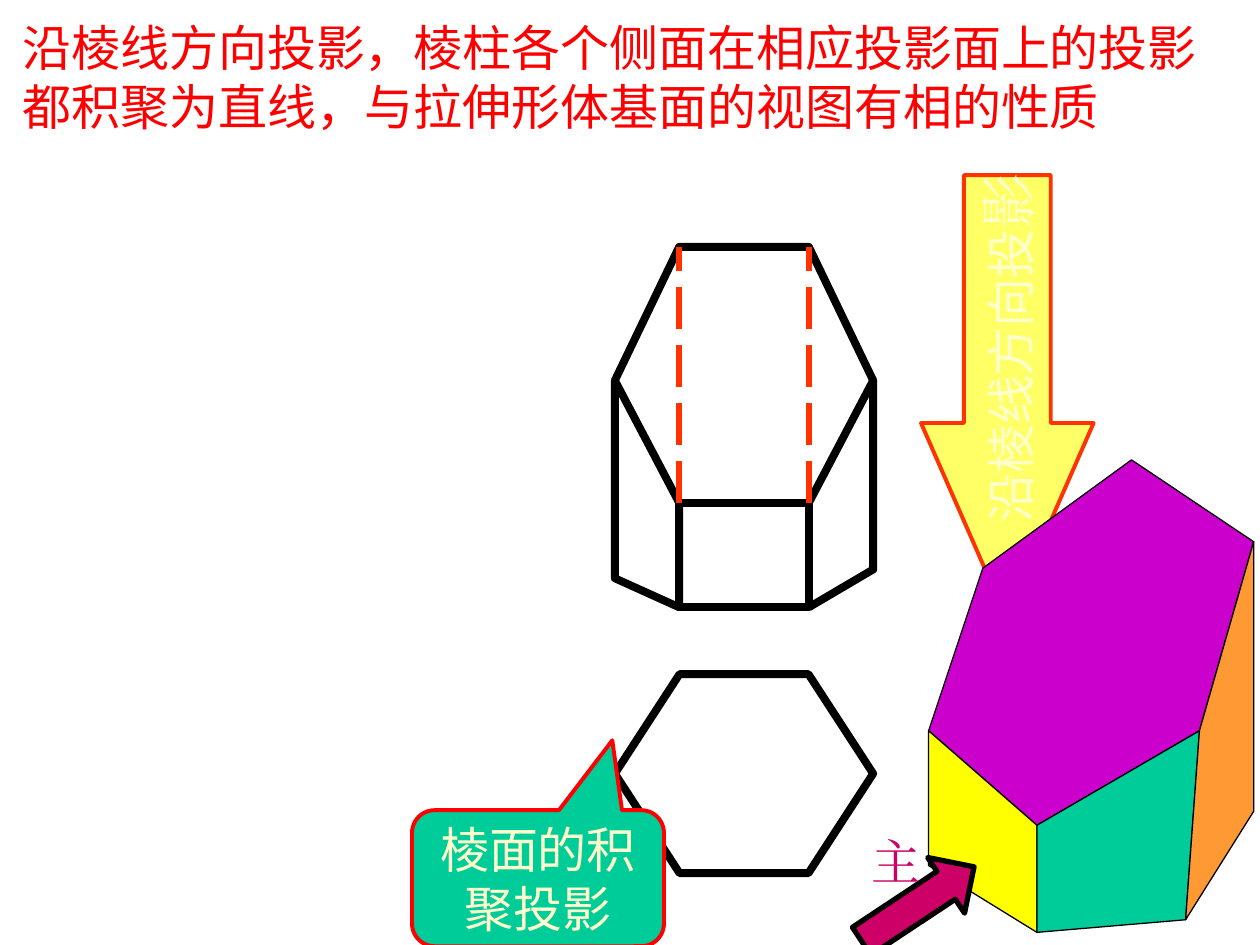
from lxml import etree
from pptx import Presentation
from pptx import util as u
from pptx.dml.color import RGBColor
from pptx.enum import dml, shapes, text
from pptx.oxml.ns import qn

BLACK = RGBColor(0x00, 0x00, 0x00)
WHITE = RGBColor(0xFF, 0xFF, 0xFF)
RED = RGBColor(0xFF, 0x00, 0x00)
ORANGE_RED = RGBColor(0xFF, 0x33, 0x00)
PALE_YELLOW = RGBColor(0xFF, 0xFF, 0x66)
CREAM = RGBColor(0xFF, 0xFF, 0xCC)
PURPLE = RGBColor(0xCC, 0x00, 0xCC)
YELLOW = RGBColor(0xFF, 0xFF, 0x00)
GREEN = RGBColor(0x00, 0xCC, 0x99)
ORANGE = RGBColor(0xFF, 0x99, 0x33)
CRIMSON = RGBColor(0xCC, 0x00, 0x66)

SANS = "Noto Sans CJK SC"
SERIF = "Times New Roman"
OUTLINE = 4.5

# Columns shared by the front and top views, and rows of the front view
X1, X2, X3, X4 = 4.88, 5.39, 6.42, 6.93
TOP, SHOULDER, FRONT, LEFT_FOOT, RIGHT_FOOT, BASE = 1.96, 3.02, 3.99, 4.59, 4.52, 4.82


def inches(*lengths):
    return [u.Inches(length) for length in lengths]


def style(shape, fill, line, width):
    shape.shadow.inherit = False
    if fill is None:
        shape.fill.background()
    else:
        shape.fill.solid()
        shape.fill.fore_color.rgb = fill
    shape.line.color.rgb = line
    shape.line.width = u.Pt(width)


def add_outline(parent, points, fill=None, width=OUTLINE, close=False):
    start, *others = [inches(*point) for point in points]
    builder = parent.shapes.build_freeform(*start)
    builder.add_line_segments(others, close=close)
    shape = builder.convert_to_shape()
    style(shape, fill, BLACK, width)
    etree.SubElement(shape.line._get_or_add_ln(), qn("a:round"))


def add_preset(parent, kind, box, fill, line, width, adjustments, rotation=0):
    shape = parent.shapes.add_shape(kind, *inches(*box))
    style(shape, fill, line, width)
    for index, value in enumerate(adjustments):
        shape.adjustments[index] = value
    shape.rotation = rotation
    return shape


def add_dashed_edge(parent, x):
    line = parent.shapes.add_connector(
        shapes.MSO_CONNECTOR.STRAIGHT, *inches(x, FRONT, x, TOP))
    line.line.color.rgb = ORANGE_RED
    line.line.width = u.Pt(3)
    line.line.dash_style = dml.MSO_LINE.LONG_DASH
    etree.SubElement(line._element.spPr, qn("a:effectLst"))


def write(shape, paragraphs, color, align, anchor, wrap=False):
    """Each paragraph is a list of (words, size, font) runs."""
    frame = shape.text_frame
    frame.word_wrap = wrap
    frame.vertical_anchor = anchor
    for index, runs in enumerate(paragraphs):
        paragraph = frame.add_paragraph() if index else frame.paragraphs[0]
        paragraph.alignment = align
        for words, size, font in runs:
            run = paragraph.add_run()
            run.text = words
            run.font.size = u.Pt(size)
            run.font.color.rgb = color
            run.font.name = font
            east_asian = etree.SubElement(run.font._element, qn("a:ea"))
            east_asian.set("typeface", font)


def add_label(parent, box, words, font, color, wrap):
    label = parent.shapes.add_textbox(*inches(*box))
    write(label, [[(words, 28, font)]], color,
          text.PP_ALIGN.LEFT, text.MSO_ANCHOR.TOP, wrap)


def write_centered(shape, paragraphs):
    write(shape, paragraphs, CREAM, text.PP_ALIGN.CENTER, text.MSO_ANCHOR.MIDDLE)


def add_views(slide):
    group = slide.shapes.add_group_shape()
    # Front view
    add_outline(group, [(X1, LEFT_FOOT), (X2, BASE), (X2, FRONT), (X1, SHOULDER)],
                WHITE, close=True)
    add_outline(group, [(X2, BASE), (X3, BASE), (X3, FRONT), (X2, FRONT)])
    add_outline(group, [(X3, BASE), (X4, RIGHT_FOOT), (X4, SHOULDER), (X3, FRONT)])
    add_outline(group, [(X4, SHOULDER), (X3, TOP), (X2, TOP), (X1, SHOULDER)])
    # Top view
    add_preset(group, shapes.MSO_SHAPE.HEXAGON, (X1, 5.35, X4 - X1, 1.58),
               WHITE, BLACK, OUTLINE, [0.325, 1.155])
    # Projection direction
    arrow = add_preset(group, shapes.MSO_SHAPE.LEFT_ARROW, (6.23, 2.47, 3.53, 1.37),
                       PALE_YELLOW, ORANGE_RED, 2.25, [0.504, 1.141], 270)
    write_centered(arrow, [[("沿棱线方向投", 28, SANS), ("影", 32, SERIF)]])
    # Hidden edges
    for x in (X2, X3):
        add_dashed_edge(group, x)


def add_solid(slide):
    group = slide.shapes.add_group_shape()
    left, front, right = (7.37, 5.8), (8.23, 6.55), (9.52, 5.8)
    far_right, back, far_left = (9.95, 4.3), (8.98, 3.65), (7.8, 4.51)
    front_foot, right_foot = (8.23, 7.4), (9.41, 7.3)
    faces = [
        (PURPLE, [front, right, far_right, back, far_left, left]),
        (YELLOW, [left, (7.37, 6.87), front_foot, front]),
        (GREEN, [front, right, right_foot, front_foot]),
        (ORANGE, [right, far_right, (9.95, 6.44), right_foot]),
    ]
    for color, points in faces:
        add_outline(group, points, color, 0.75, close=True)


def add_main_direction(slide):
    group = slide.shapes.add_group_shape()
    add_preset(group, shapes.MSO_SHAPE.RIGHT_ARROW, (6.75, 6.91, 1.07, 0.53),
               CRIMSON, BLACK, 3, [0.5, 0.502], 326.5)
    add_label(group, (6.82, 6.55, 0.59, 0.57), "主", SERIF, CRIMSON, False)


def add_callout(slide):
    callout = add_preset(slide, shapes.MSO_SHAPE.ROUNDED_RECTANGULAR_CALLOUT,
                         (3.27, 6.43, 2, 1.08), GREEN, RED, 2.25,
                         [0.295, -1.013, 0.167])
    write_centered(callout, [[("棱面的积", 28, SANS)], [("聚投影", 28, SANS)]])


def main():
    presentation = Presentation()
    presentation.slide_width, presentation.slide_height = inches(10, 7.5)
    slide = presentation.slides.add_slide(presentation.slide_layouts[6])
    add_label(slide, (0.08, 0.09, 9.88, 1.04),
              "沿棱线方向投影，棱柱各个侧面在相应投影面上的投影"
              "都积聚为直线，与拉伸形体基面的视图有相的性质", SANS, RED, True)
    add_views(slide)
    add_solid(slide)
    add_main_direction(slide)
    add_callout(slide)
    presentation.save("out.pptx")


if __name__ == "__main__":
    main()
